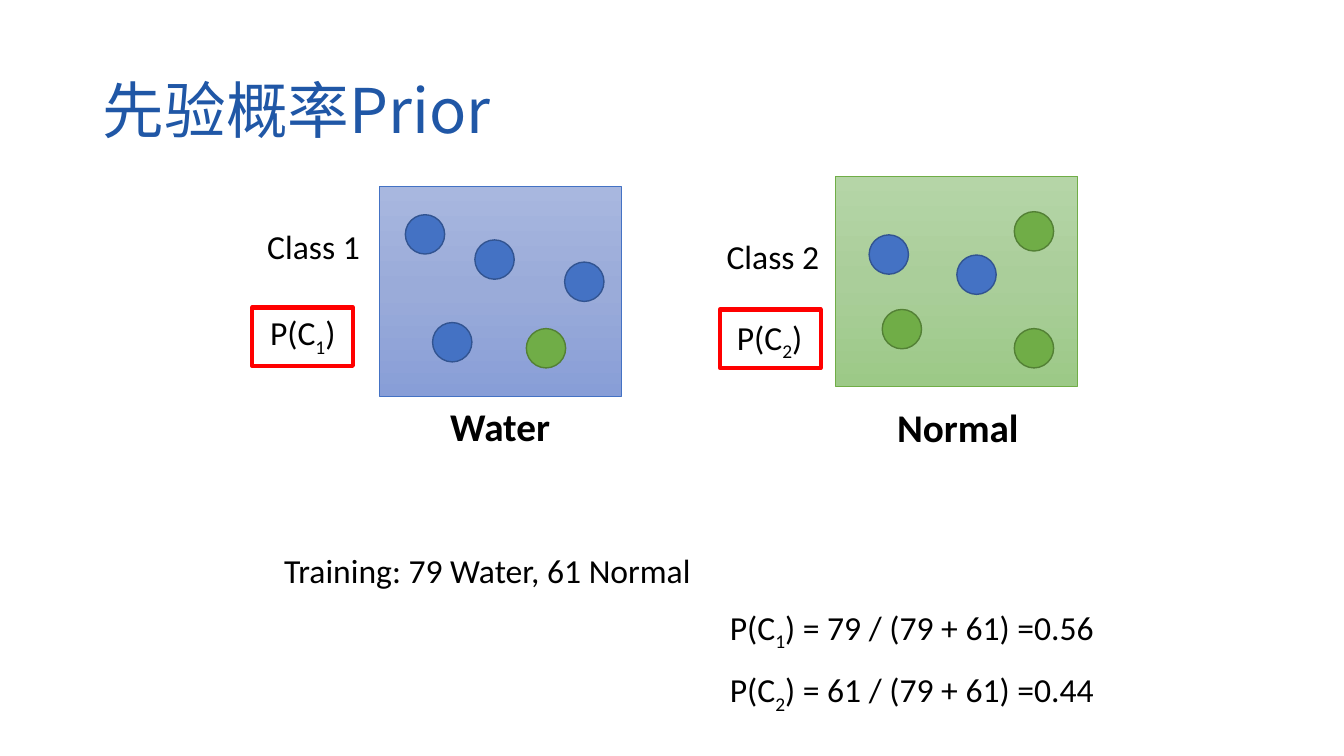
from copy import deepcopy
from lxml.etree import SubElement
from pptx import Presentation
from pptx.dml.color import RGBColor
from pptx.enum.shapes import MSO_SHAPE
from pptx.enum.text import MSO_ANCHOR, MSO_AUTO_SIZE, PP_ALIGN
from pptx.oxml.ns import qn
from pptx.util import Inches, Pt

BLACK = RGBColor(0x00, 0x00, 0x00)
RED = RGBColor(0xFF, 0x00, 0x00)
NAVY = RGBColor(0x20, 0x57, 0xA6)
BLUE = RGBColor(0x44, 0x72, 0xC4)
BLUE_EDGE = RGBColor(0x32, 0x54, 0x91)
GREEN = RGBColor(0x70, 0xAD, 0x47)
GREEN_EDGE = RGBColor(0x53, 0x80, 0x35)
BLUE_FADE = [RGBColor(0xA8, 0xB7, 0xDF), RGBColor(0x9A, 0xAB, 0xD9), RGBColor(0x88, 0x9E, 0xD7)]
GREEN_FADE = [RGBColor(0xB5, 0xD5, 0xA7), RGBColor(0xAA, 0xCE, 0x9A), RGBColor(0x9C, 0xC9, 0x87)]
CJK = "Noto Sans CJK SC"


def set_title(slide, text):
    title = slide.shapes.title
    title.left, title.top = Inches(0.92), Inches(0.4)
    title.width, title.height = Inches(11.5), Inches(1.45)
    title.text_frame.text = text
    title.text_frame.vertical_anchor = MSO_ANCHOR.MIDDLE
    para = title.text_frame.paragraphs[0]
    para.alignment = PP_ALIGN.LEFT
    para.line_spacing = 0.9
    font = para.font
    font.name, font.size = CJK, Pt(44)
    font.color.rgb = NAVY
    SubElement(font._element, qn("a:ea")).set("typeface", CJK)


def add_form(slide, kind, x, y, w, h, edge, width):
    form = slide.shapes.add_shape(kind, Inches(x), Inches(y), Inches(w), Inches(h))
    form.shadow.inherit = False
    form.fill.background()
    form.line.color.rgb = edge
    form.line.width = Pt(width)
    return form


def add_set(slide, x, y, edge, fade):
    form = add_form(slide, MSO_SHAPE.RECTANGLE, x, y, 2.4, 2.08, edge, 0.5)
    form.fill.gradient()
    form.fill.gradient_angle = 270
    stops = form._element.spPr.find(".//" + qn("a:gsLst"))
    stops.insert(1, deepcopy(stops[0]))
    for i, (stop, color) in enumerate(zip(form.fill.gradient_stops, fade)):
        stop.position = i / 2
        stop.color.rgb = color


def add_dots(slide, spots, color, edge):
    for x, y in spots:
        dot = add_form(slide, MSO_SHAPE.OVAL, x, y, 0.39, 0.39, edge, 1)
        dot.fill.solid()
        dot.fill.fore_color.rgb = color


def add_text(slide, text, x, y, w, size=24, bold=False, align=PP_ALIGN.LEFT, wrap=True, level=0):
    box = slide.shapes.add_textbox(Inches(x), Inches(y), Inches(w), Inches(0.57 if size > 24 else 0.5))
    frame = box.text_frame
    frame.word_wrap = wrap
    frame.auto_size = MSO_AUTO_SIZE.SHAPE_TO_FIT_TEXT
    para = frame.paragraphs[0]
    para.alignment, para.level = align, level
    font = para.font
    font.name, font.size, font.bold = "Calibri", Pt(size), bold
    font.color.rgb = BLACK
    for i, part in enumerate(text.split("_")):
        run = para.add_run()
        run.text = part
        if i % 2:
            run.font._element.set("baseline", "-25000")


def add_prior(slide, num, x, y, box_x, box_y):
    add_text(slide, f"P(C_{num}_)", x, y, 0.87, wrap=False)
    add_form(slide, MSO_SHAPE.RECTANGLE, box_x, box_y, 1, 0.58, RED, 3)


def main():
    deck = Presentation()
    deck.slide_width, deck.slide_height = Inches(13.33), Inches(7.5)
    slide = deck.slides.add_slide(deck.slide_layouts[5])
    set_title(slide, "先验概率Prior")

    add_set(slide, 3.76, 1.85, BLUE, BLUE_FADE)
    add_set(slide, 8.29, 1.75, GREEN, GREEN_FADE)
    blues = [(4.02, 2.13), (4.71, 2.38), (4.29, 3.2), (5.6, 2.6), (8.62, 2.33), (9.49, 2.53)]
    greens = [(10.06, 3.26), (8.75, 3.07), (10.06, 2.1), (5.22, 3.26)]
    add_dots(slide, blues, BLUE, BLUE_EDGE)
    add_dots(slide, greens, GREEN, GREEN_EDGE)

    mid = PP_ALIGN.CENTER
    add_text(slide, "Class 1", 2.46, 2.19, 1.3, align=mid)
    add_text(slide, "Class 2", 7.04, 2.29, 1.25, align=mid)
    add_prior(slide, 1, 2.58, 3.05, 2.5, 3.05)
    add_prior(slide, 2, 7.21, 3.09, 7.14, 3.07)
    add_text(slide, "Water", 4.18, 3.94, 1.56, 28, True, mid)
    add_text(slide, "Normal", 8.72, 3.95, 1.56, 28, True, mid)

    add_text(slide, "Training: 79 Water, 61 Normal", 2.22, 5.41, 4.77, wrap=False, level=1)
    add_text(slide, "P(C_1_) = 79 / (79 + 61) =0.56", 7.14, 5.97, 4.6)
    add_text(slide, "P(C_2_) = 61 / (79 + 61) =0.44", 7.14, 6.59, 4.43)
    deck.save("out.pptx")


if __name__ == "__main__":
    main()
